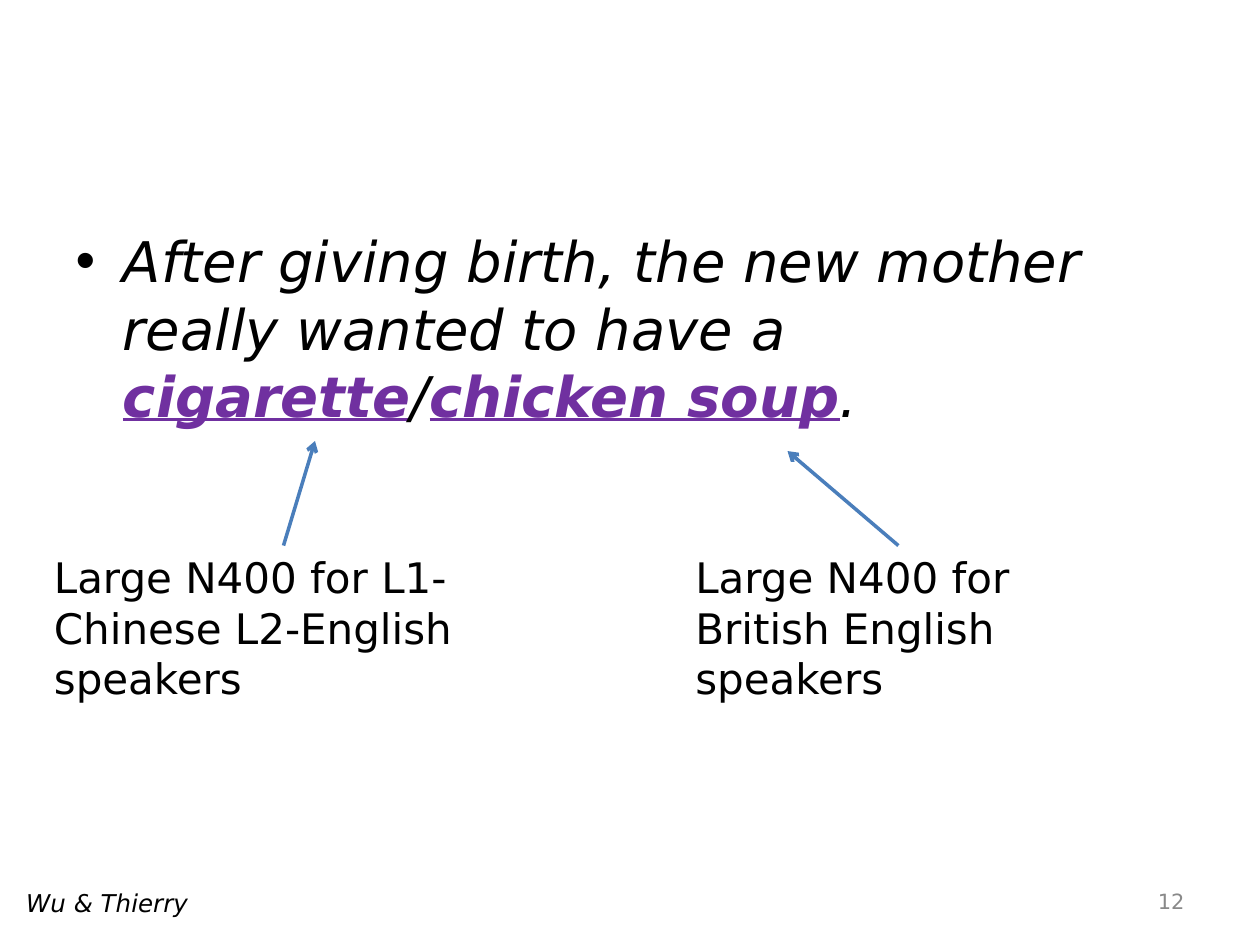
from lxml import etree
from pptx import Presentation
from pptx import util as u
from pptx.dml.color import RGBColor
from pptx.enum import shapes, text
from pptx.oxml import ns

COLORS = {"text": "000000", "keyword": "7030A0", "number": "898989", "arrow": "4A7EBB"}


class SlideBuilder:
    font_name = "DejaVu Sans"

    def __init__(self, presentation):
        self.slide = presentation.slides.add_slide(presentation.slide_layouts[1])
        title = self.slide.shapes.title
        title.element.getparent().remove(title.element)

    def style(self, font, size, color="text", italic=False):
        font.name = self.font_name
        font.size = u.Pt(size)
        font.italic = italic
        font.color.rgb = RGBColor.from_string(COLORS[color])

    def body(self, left, top, width, height, pieces):
        body = self.slide.placeholders[1]
        body.left, body.top = u.Inches(left), u.Inches(top)
        body.width, body.height = u.Inches(width), u.Inches(height)
        body.text_frame.auto_size = text.MSO_AUTO_SIZE.NONE
        paragraph = body.text_frame.paragraphs[0]
        paragraph.space_before = u.Pt(0)
        for words, is_keyword in pieces:
            run = paragraph.add_run()
            run.text = words
            self.style(run.font, 32, "keyword" if is_keyword else "text", italic=True)
            run.font.bold = run.font.underline = is_keyword

    def label(self, left, top, width, height, words, size, color="text", italic=False,
              align=text.PP_ALIGN.LEFT, anchor=text.MSO_ANCHOR.TOP):
        box = self.slide.shapes.add_textbox(
            u.Inches(left), u.Inches(top), u.Inches(width), u.Inches(height))
        frame = box.text_frame
        frame.word_wrap = True
        frame.vertical_anchor = anchor
        paragraph = frame.paragraphs[0]
        paragraph.text = words
        paragraph.alignment = align
        self.style(paragraph.font, size, color, italic)

    def arrow(self, start, end):
        connector = self.slide.shapes.add_connector(
            shapes.MSO_CONNECTOR.STRAIGHT, *map(u.Inches, start + end))
        connector.line.color.rgb = RGBColor.from_string(COLORS["arrow"])
        connector.line.width = u.Pt(2)
        etree.SubElement(connector.line._get_or_add_ln(), ns.qn("a:tailEnd"), type="arrow")
        etree.SubElement(connector.element.spPr, ns.qn("a:effectLst"))


def main():
    presentation = Presentation()
    presentation.slide_width = u.Inches(10)
    presentation.slide_height = u.Inches(7.5)
    builder = SlideBuilder(presentation)

    builder.body(0.5, 1.75, 9, 4.95, [
        ("After giving birth, the new mother really wanted to have a ", False),
        ("cigarette", True),
        ("/", False),
        ("chicken soup", True),
        (".", False),
    ])
    builder.label(7.17, 6.95, 2.33, 0.4, "12", 12, "number",
                  align=text.PP_ALIGN.RIGHT, anchor=text.MSO_ANCHOR.MIDDLE)

    findings = [
        (0.33, 3.83, "Large N400 for L1-Chinese L2-English speakers", (2.25, 4.33), (2.5, 3.5)),
        (5.42, 3.42, "Large N400 for British English speakers", (7.13, 4.33), (6.25, 3.58)),
    ]
    for left, width, words, start, end in findings:
        builder.label(left, 4.33, width, 1.3, words, 24)
        builder.arrow(start, end)

    builder.label(0.11, 7, 7, 0.34, "Wu & Thierry", 14, italic=True)
    presentation.save("out.pptx")


if __name__ == "__main__":
    main()
